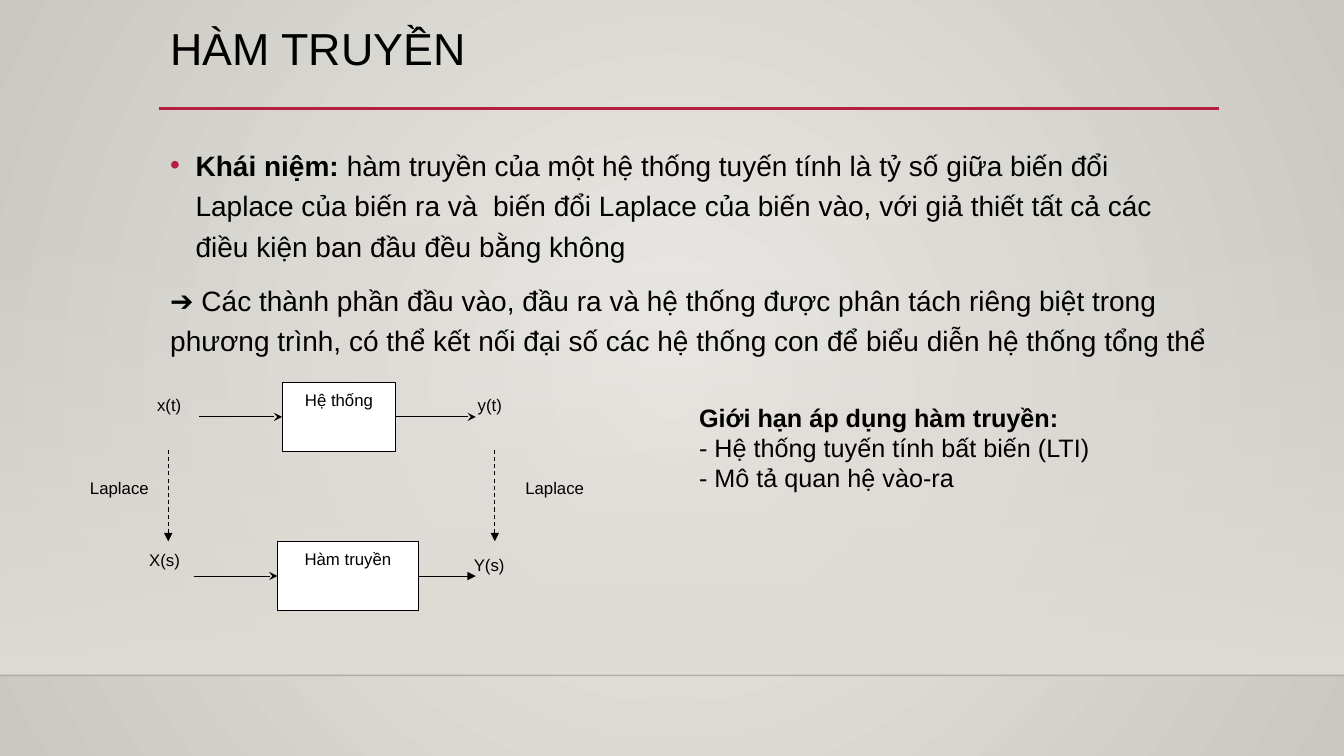
from lxml.etree import SubElement
from pptx import Presentation
from pptx.dml.color import RGBColor
from pptx.enum.dml import MSO_LINE
from pptx.enum.shapes import MSO_CONNECTOR, MSO_SHAPE
from pptx.enum.text import MSO_ANCHOR, MSO_AUTO_SIZE, PP_ALIGN
from pptx.oxml.ns import qn
from pptx.util import Cm, Pt

COLORS = {
    "text": "000000",
    "accent": "B71E42",
    "box": "FFFFFF",
    "glow": "ECEAE7",
    "edge": "CAC7C1",
    "wall": "DFDBD5",
    "floor_line": "000001",
}
FONT = "Arial"
SLIDE_WIDTH, SLIDE_HEIGHT = 33.87, 19.05


def rgb(name):
    return RGBColor.from_string(COLORS[name])


def set_alpha(parent, percent):
    color = next(parent.iter(qn("a:srgbClr")))
    SubElement(color, qn("a:alpha"), val=str(percent * 1000))


def set_gradient(fill, first, last):
    fill.gradient()
    for stop, name, position in zip(fill.gradient_stops, (first, last), (0, 1)):
        stop.color.rgb = rgb(name)
        stop.position = position


def add_span(para, text, size, bold=False):
    span = para.add_run()
    span.text = text
    span.font.name = FONT
    span.font.size = Pt(size)
    span.font.bold = bold
    span.font.color.rgb = rgb("text")


def add_text(page, left, top, width, height):
    box = page.shapes.add_textbox(Cm(left), Cm(top), Cm(width), Cm(height))
    box.text_frame.word_wrap = True
    return box.text_frame


def add_line(page, start, end, color="text", width=0.75, head=None, dashed=False):
    points = [Cm(value) for value in (*start, *end)]
    line = page.shapes.add_connector(MSO_CONNECTOR.STRAIGHT, *points)
    line.line.color.rgb = rgb(color)
    line.line.width = Pt(width)
    if dashed:
        line.line.dash_style = MSO_LINE.DASH
    properties = line.element.spPr
    if head:
        SubElement(properties.find(qn("a:ln")), qn("a:tailEnd"), type=head)
    SubElement(properties, qn("a:effectLst"))
    return line


def add_backdrop(page):
    # Radial background
    set_gradient(page.background.fill, "glow", "edge")
    gradient = next(page.element.iter(qn("a:gradFill")))
    gradient.remove(gradient.find(qn("a:lin")))
    circle = SubElement(gradient, qn("a:path"), path="circle")
    SubElement(circle, qn("a:fillToRect"), l="50000", t="50000", r="50000", b="50000")

    # Wall fading in towards the floor line
    floor = 17.02
    wall = page.shapes.add_shape(
        MSO_SHAPE.RECTANGLE, 0, Cm(5.61), Cm(SLIDE_WIDTH), Cm(floor - 5.61))
    wall.shadow.inherit = False
    wall.line.fill.background()
    set_gradient(wall.fill, "wall", "wall")
    wall.fill.gradient_angle = 270
    set_alpha(wall.element.spPr, 0)
    floor_line = add_line(page, (0, floor), (SLIDE_WIDTH, floor), "floor_line", 1)
    set_alpha(floor_line.element.spPr, 20)


def add_heading(page, left, top, width, height):
    title = page.shapes.title
    title.left, title.top, title.width, title.height = map(Cm, (left, top, width, height))
    frame = title.text_frame
    frame.vertical_anchor = MSO_ANCHOR.TOP
    frame.auto_size = MSO_AUTO_SIZE.NONE
    para = frame.paragraphs[0]
    para.alignment = PP_ALIGN.LEFT
    para.line_spacing = 0.9
    add_span(para, "HÀM TRUYỀN", 32)
    rule_top = top + 2.18
    add_line(page, (left - 0.03, rule_top), (left + width, rule_top), "accent", 2.5)


def add_definition(page, left, top, width, height):
    frame = add_text(page, left, top, width, height)
    concept = frame.paragraphs[0]
    concept.line_spacing = 1.2
    indent = Cm(0.64)
    properties = concept._p.get_or_add_pPr()
    properties.set("marL", str(indent))
    properties.set("indent", str(-indent))
    bullet_color = SubElement(properties, qn("a:buClr"))
    SubElement(bullet_color, qn("a:srgbClr"), val=COLORS["accent"])
    SubElement(properties, qn("a:buFont"), typeface=FONT)
    SubElement(properties, qn("a:buChar"), char="•")
    add_span(concept, "Khái niệm: ", 20, bold=True)
    add_span(concept, "hàm truyền của một hệ thống tuyến tính là tỷ số giữa biến đổi "
             "Laplace của biến ra và  biến đổi Laplace của biến vào, với giả thiết "
             "tất cả các điều kiện ban đầu đều bằng không", 20)

    result = frame.add_paragraph()
    result.line_spacing = 1.2
    result.space_before = Pt(10)
    add_span(result, "➔ Các thành phần đầu vào, đầu ra và hệ thống được phân tách "
             "riêng biệt trong phương trình, có thể kết nối đại số các hệ thống con "
             "để biểu diễn hệ thống tổng thể", 20)


def add_block(page, text, left, top, width, height):
    block = page.shapes.add_shape(
        MSO_SHAPE.RECTANGLE, Cm(left), Cm(top), Cm(width), Cm(height))
    block.shadow.inherit = False
    block.fill.solid()
    block.fill.fore_color.rgb = rgb("box")
    block.line.color.rgb = rgb("text")
    block.line.width = Pt(0.75)
    frame = block.text_frame
    frame.vertical_anchor = MSO_ANCHOR.TOP
    frame.margin_top = Cm(0.2)
    para = frame.paragraphs[0]
    para.alignment = PP_ALIGN.CENTER
    add_span(para, text, 12)
    return block


def add_diagram(page, left, top):
    row_height, row_step = 1.75, 4.01

    # Blocks with their incoming and outgoing arrows
    rows = [("Hệ thống", 5.33, 2.87, 3.23, "stealth"),
            ("Hàm truyền", 5.21, 3.56, 3.1, "triangle")]
    for index, (text, offset, width, arrow_start, out_head) in enumerate(rows):
        row_top = top + index * row_step
        middle = row_top + row_height / 2
        block_left = left + offset
        block = add_block(page, text, block_left, row_top, width, row_height)
        incoming = add_line(page, (left + arrow_start, middle), (block_left, middle),
                            head="stealth")
        incoming.end_connect(block, 1)
        outgoing = add_line(page, (block_left + width, middle), (left + 10.21, middle),
                            head=out_head)
        outgoing.begin_connect(block, 3)

    # Signal names
    signals = [("x(t)", 1.93, 0.2), ("y(t)", 10.01, 0.2),
               ("X(s)", 1.73, 4.11), ("Y(s)", 9.91, 4.22)]
    for text, across, down in signals:
        frame = add_text(page, left + across, top + down, 1.65, row_height)
        add_span(frame.paragraphs[0], text, 12)

    # Laplace transforms
    for label_offset, arrow_offset in ((0, 2.46), (10.97, 10.69)):
        frame = add_text(page, left + label_offset, top + 2.29, 2.46, row_height)
        frame.paragraphs[0].alignment = PP_ALIGN.CENTER
        add_span(frame.paragraphs[0], "Laplace", 12)
        arrow_left = left + arrow_offset
        add_line(page, (arrow_left, top + 1.7), (arrow_left, top + row_step),
                 head="triangle", dashed=True)


def add_limits(page, left, top, width, height):
    frame = add_text(page, left, top, width, height)
    add_span(frame.paragraphs[0], "Giới hạn áp dụng hàm truyền:", 18, bold=True)
    for text in ("- Hệ thống tuyến tính bất biến (LTI)", "- Mô tả quan hệ vào-ra"):
        add_span(frame.add_paragraph(), text, 18)


def main():
    deck = Presentation()
    deck.slide_width, deck.slide_height = Cm(SLIDE_WIDTH), Cm(SLIDE_HEIGHT)
    page = deck.slides.add_slide(deck.slide_layouts.get_by_name("Title Only"))
    add_backdrop(page)
    add_heading(page, 4.04, 0.56, 26.67, 1.88)
    add_definition(page, 4.04, 3.45, 26.67, 12.34)
    add_diagram(page, 1.78, 9.63)
    add_limits(page, 17.37, 10.01, 12.04, 3.33)
    deck.save("out.pptx")


if __name__ == "__main__":
    main()
